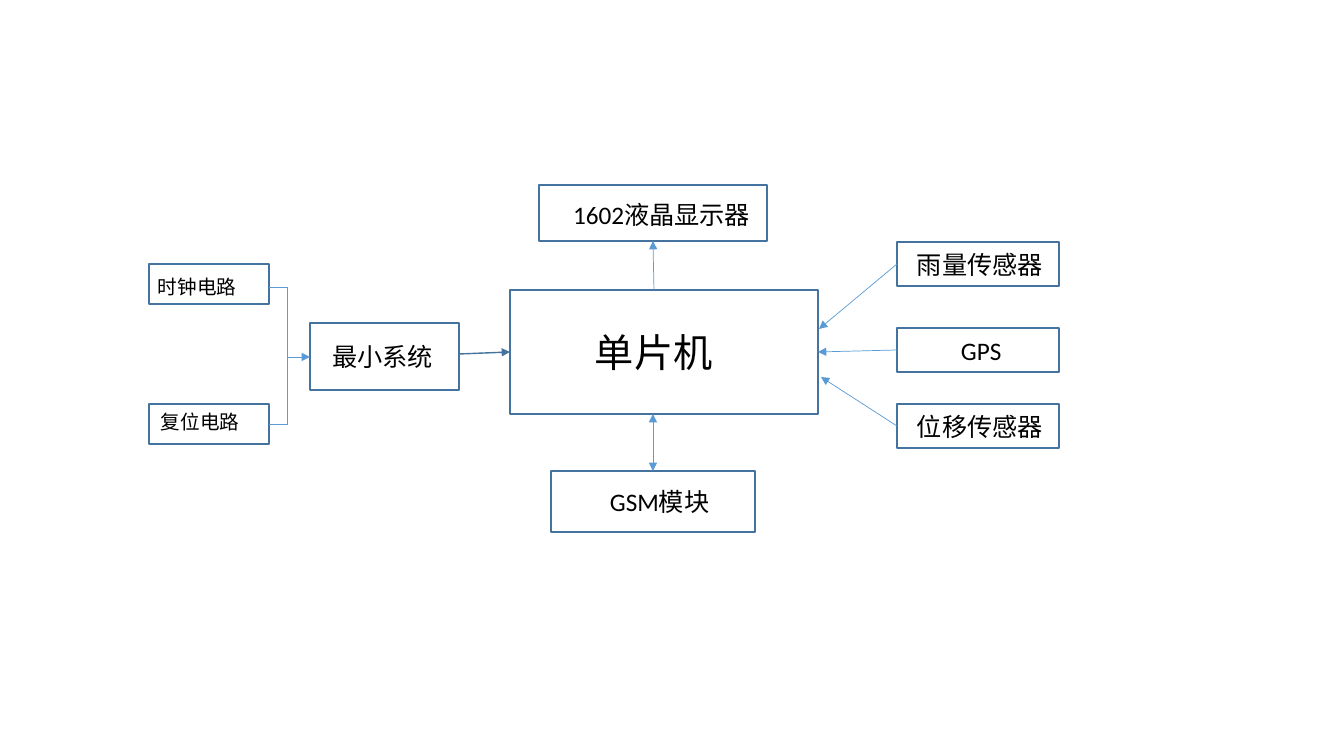
"""Block diagram of a microcontroller with its display, modules and sensors."""
from lxml.etree import SubElement as Sub
from pptx import Presentation
from pptx.dml.color import RGBColor
from pptx.enum.shapes import MSO_CONNECTOR as Link, MSO_SHAPE as Form
from pptx.enum.text import MSO_ANCHOR as Anchor, PP_ALIGN as Align
from pptx.oxml.ns import qn
from pptx.util import Emu, Pt

DARK, LIGHT = "43739E", "5B9BD5"


def px(n):
    return Emu(round(n * 914400 / 100.8))


def paint(form, color):
    form.solid()
    form.fore_color.rgb = RGBColor.from_string(color)


deck = Presentation()
deck.slide_width, deck.slide_height = px(1344), px(756)
slide = deck.slides.add_slide(deck.slide_layouts[6])

boxes = [
    ("单片机", 510, 290, 308, 124, 28, 85, 0),
    ("最小系统", 310, 323, 149, 67, 18, 22, 0),
    ("时钟电路", 149, 264, 120, 40, 14, 9, 3),
    ("复位电路", 149, 404, 120, 40, 14, 12, -2),
    ("GSM模块", 551, 471, 204, 61, 18, 59, 0),
    ("1602液晶显示器", 539, 185, 228, 56, 18, 34, 1),
]
sensors = [("雨量传感器", 242, 20), ("GPS", 328, 64), ("位移传感器", 404, 20)]
boxes += [(name, 897, y, 162, 44, 18, pad, 0) for name, y, pad in sensors]

for name, x, y, w, h, size, pad, drop in boxes:
    box = slide.shapes.add_shape(Form.RECTANGLE, px(x), px(y), px(w), px(h))
    box.shadow.inherit = False
    paint(box.fill, "FFFFFF")
    paint(box.line.fill, DARK)
    box.line.width = Pt(1)
    frame = box.text_frame
    frame.word_wrap = True
    frame.vertical_anchor = Anchor.MIDDLE
    frame.margin_left, frame.margin_right = px(pad), 0
    frame.margin_top, frame.margin_bottom = px(drop), px(-drop)
    para = frame.paragraphs[0]
    para.alignment = Align.LEFT
    run = para.add_run()
    run.text = name
    run.font.name, run.font.size = "Calibri", Pt(size)
    paint(run.font.fill, "000000")

links = [
    (459, 354, 510, 352, DARK, 1, ["tailEnd"]),
    (269, 287, 287, 287, LIGHT, 0.5, []),
    (269, 424, 287, 424, LIGHT, 0.5, []),
    (287, 287, 287, 425, LIGHT, 0.5, []),
    (287, 357, 310, 357, LIGHT, 0.5, ["tailEnd"]),
    (653, 471, 653, 414, LIGHT, 0.5, ["headEnd", "tailEnd"]),
    (654, 290, 653, 241, LIGHT, 0.5, ["tailEnd"]),
    (897, 264, 819, 329, LIGHT, 0.5, ["tailEnd"]),
    (897, 350, 818, 352, LIGHT, 0.5, ["tailEnd"]),
    (897, 426, 821, 377, LIGHT, 0.5, ["tailEnd"]),
]
for x1, y1, x2, y2, color, width, ends in links:
    link = slide.shapes.add_connector(Link.STRAIGHT, px(x1), px(y1), px(x2), px(y2))
    paint(link.line.fill, color)
    link.line.width = Pt(width)
    for end in ends:
        Sub(link.line._get_or_add_ln(), qn("a:" + end), type="triangle")
    Sub(link._element.spPr, qn("a:effectLst"))

deck.save("out.pptx")
